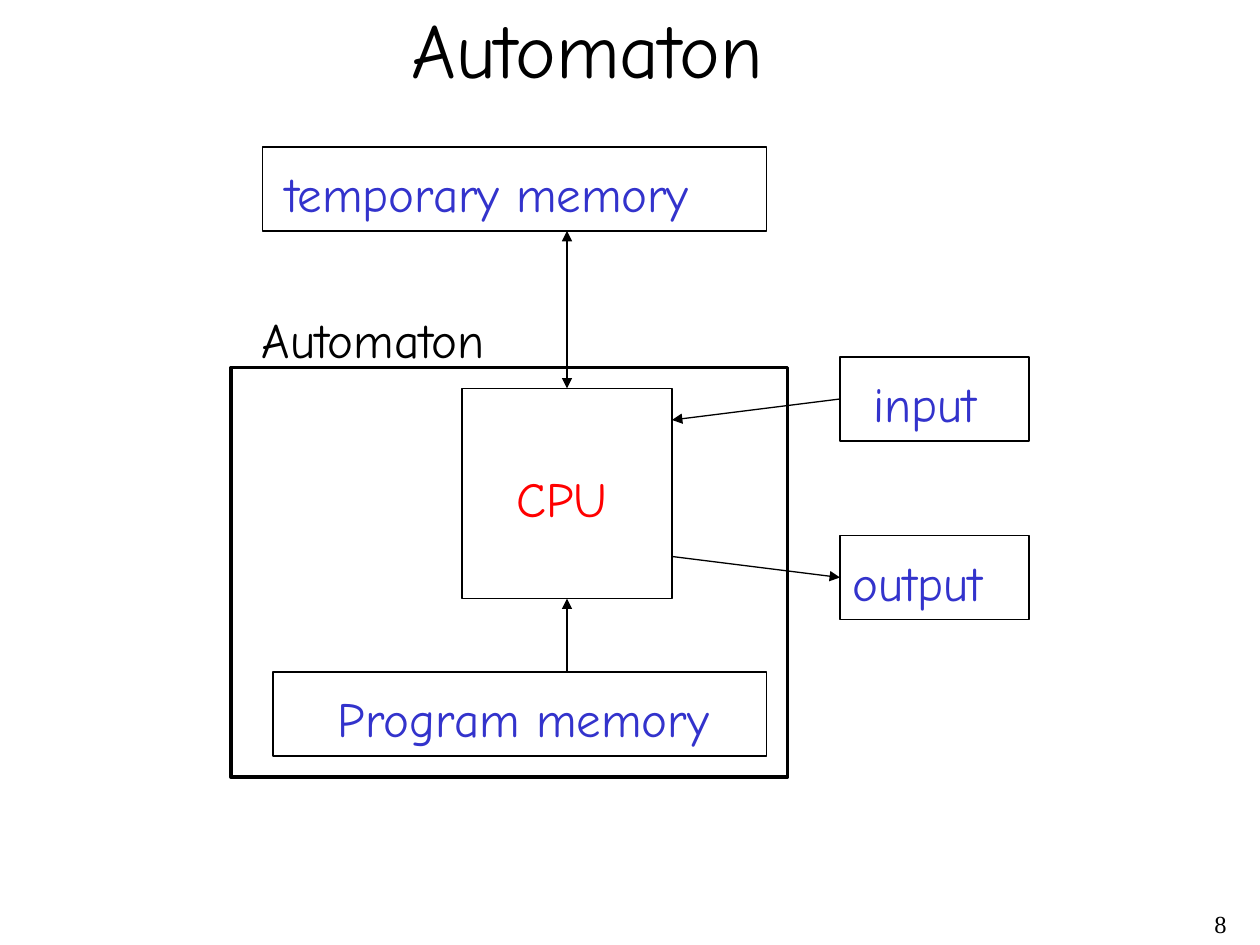
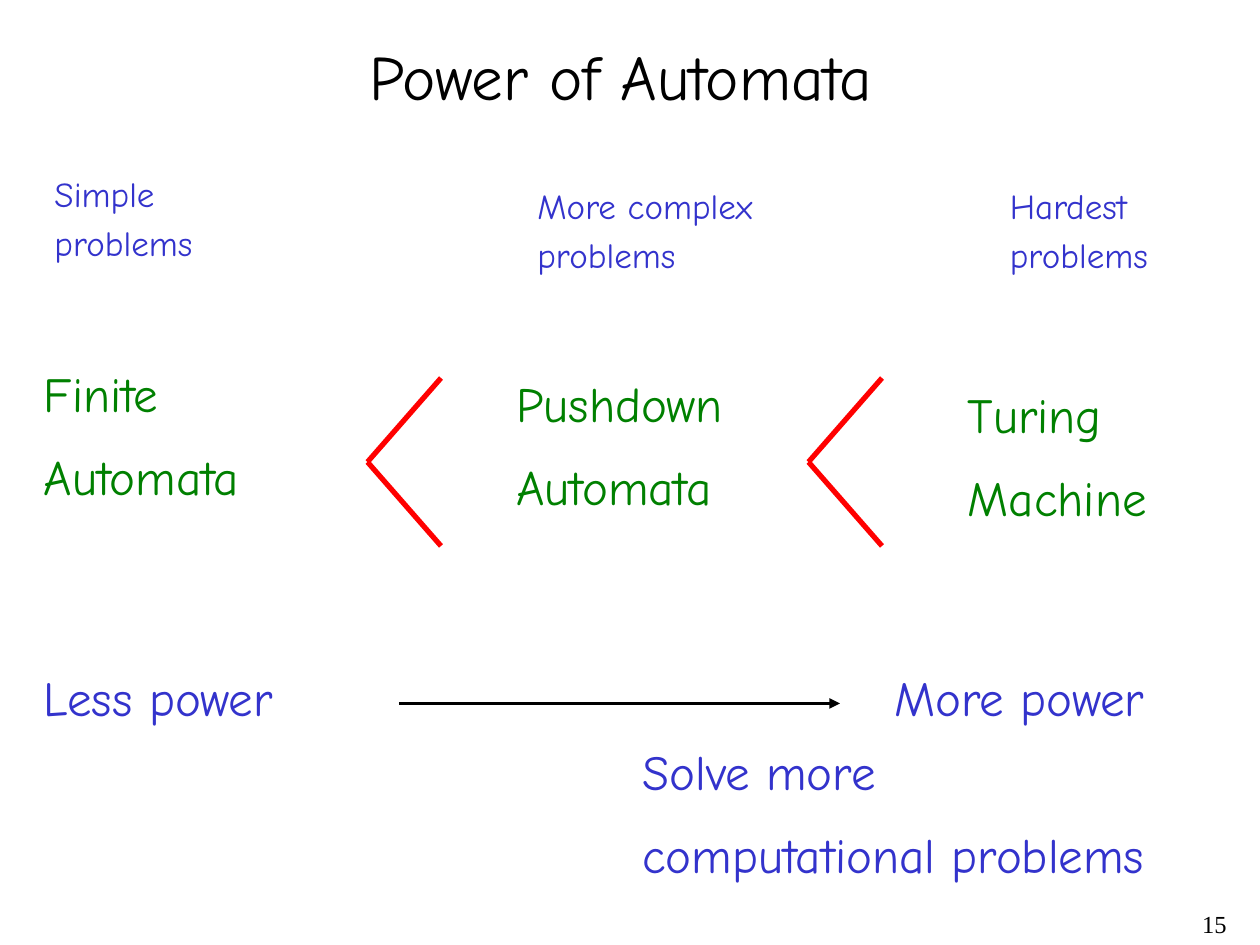
import lxml.etree
import pptx
import pptx.dml.color
import pptx.enum.shapes
import pptx.enum.text
import pptx.oxml.ns
import pptx.util

Pt = pptx.util.Pt
HAND, SERIF = "Comic Neue", "Times New Roman"
BLACK, BLUE, GREEN, RED = "000000", "3333CC", "008000", "FF0000"
LEFT, RIGHT = pptx.enum.text.PP_ALIGN.LEFT, pptx.enum.text.PP_ALIGN.RIGHT
FIT = pptx.enum.text.MSO_AUTO_SIZE.SHAPE_TO_FIT_TEXT
FIXED = pptx.enum.text.MSO_AUTO_SIZE.NONE
TOP_SIDE, LEFT_SIDE, BOTTOM_SIDE = 0, 1, 2


def rgb(code):
    """Turn a hex string into a colour."""
    return pptx.dml.color.RGBColor.from_string(code)


def write(frame, lines, size, color, font=HAND, align=LEFT, gap=0.5, wrap=False):
    """Fill a text frame, one paragraph per line, spaced by a share of the size."""
    frame.word_wrap = wrap
    frame.auto_size = FIXED if wrap else FIT
    frame.vertical_anchor = pptx.enum.text.MSO_ANCHOR.TOP
    frame.margin_left = frame.margin_right = Pt(7.2)
    frame.margin_top = frame.margin_bottom = Pt(3.6)
    for index, line in enumerate(lines):
        paragraph = frame.add_paragraph() if index else frame.paragraphs[0]
        paragraph.alignment = align
        paragraph.space_before = Pt(size * gap if index else 0)
        run = paragraph.add_run()
        run.text = line
        run.font.name = font
        run.font.size = Pt(size)
        run.font.color.rgb = rgb(color)


def add_label(slide, box, lines, color=BLUE, size=28, **style):
    """Place lines of text in a box given as left, top, width, height."""
    label = slide.shapes.add_textbox(*map(Pt, box))
    write(label.text_frame, lines, size, color, **style)


def add_box(slide, left, top, width, height, weight=0.75):
    """Draw an unfilled black rectangle."""
    box = slide.shapes.add_shape(
        pptx.enum.shapes.MSO_SHAPE.RECTANGLE, Pt(left), Pt(top), Pt(width), Pt(height))
    box.shadow.inherit = False
    box.fill.background()
    box.line.color.rgb = rgb(BLACK)
    box.line.width = Pt(weight)
    return box


def add_line(slide, start, end, color=BLACK, weight=0.75, arrows=()):
    """Draw a straight line with triangles at the named ends."""
    line = slide.shapes.add_connector(
        pptx.enum.shapes.MSO_CONNECTOR.STRAIGHT, *map(Pt, (*start, *end)))
    line.line.color.rgb = rgb(color)
    line.line.width = Pt(weight)
    properties = line.element.spPr
    outline = properties.find(pptx.oxml.ns.qn("a:ln"))
    for arrow in arrows:
        lxml.etree.SubElement(outline, pptx.oxml.ns.qn(f"a:{arrow}"), type="triangle")
    lxml.etree.SubElement(properties, pptx.oxml.ns.qn("a:effectLst"))
    return line


def start_slide(deck, title, box, size, number):
    """Add a slide with its title and page number."""
    slide = deck.slides.add_slide(deck.slide_layouts[5])
    heading = slide.shapes.title
    heading.left, heading.top, heading.width, heading.height = map(Pt, box)
    write(heading.text_frame, [title], size, BLACK)
    add_label(slide, (558, 516, 150, 24), [number], BLACK, 14,
              font=SERIF, align=RIGHT, wrap=True)
    return slide


def add_unit(slide, box, name, indent, drop, width, color=BLUE):
    """Draw a named part of the machine, its name offset from the corner."""
    unit = add_box(slide, *box)
    add_label(slide, (box[0] + indent, box[1] + drop, width, 41), [name], color)
    return unit


def draw_machine(slide, left, top):
    """Draw the automaton frame, its units and the links between them."""
    cpu = add_unit(slide, (left + 132, top + 12, 120, 120), "CPU", 24, 42, 67, RED)
    add_unit(slide, (left + 18, top - 126, 288, 48), "temporary memory", 6, 6, 260.6)
    source = add_unit(slide, (left + 348, top - 6, 108, 48), "input", 12, 6, 80)
    sink = add_unit(slide, (left + 348, top + 96, 108, 48), "output", 0, 6, 100)
    add_unit(slide, (left + 24, top + 174, 282, 48), "Program memory", 30, 6, 232)

    axis, cpu_right, port = left + 192, left + 252, left + 348
    memory_link = add_line(slide, (axis, top - 78), (axis, top + 12),
                           arrows=("headEnd", "tailEnd"))
    memory_link.end_connect(cpu, TOP_SIDE)
    input_link = add_line(slide, (port, top + 18), (cpu_right, top + 30),
                          arrows=("tailEnd",))
    input_link.begin_connect(source, LEFT_SIDE)
    output_link = add_line(slide, (cpu_right, top + 108), (port, top + 120),
                           arrows=("tailEnd",))
    output_link.end_connect(sink, LEFT_SIDE)
    program_link = add_line(slide, (axis, top + 174), (axis, top + 132),
                            arrows=("tailEnd",))
    program_link.end_connect(cpu, BOTTOM_SIDE)

    add_box(slide, left, top, 318, 234, 2)
    add_label(slide, (left + 10.5, top - 36.5, 156, 41), ["Automaton"], BLACK)


def draw_less_than(slide, left, top, width, height):
    """Draw a red less-than sign that fills the given box."""
    tip = (left, top + height / 2)
    for end in (top, top + height):
        add_line(slide, tip, (left + width, end), RED, 3)


def draw_classes(slide, left, top):
    """Set out the automata classes with their problems and signs between."""
    classes = [
        (["Simple", "problems"], (6, 0, 99), ["Finite", "Automata"], (0, 109, 141)),
        (["More complex", "problems"], (282, 7, 145),
         ["Pushdown", "Automata"], (270, 115, 141)),
        (["Hardest", "problems"], (552, 7, 99),
         ["Turing", "Machine"], (528, 121, 122)),
    ]
    for problems, problem_place, machine, machine_place in classes:
        for lines, (dx, dy, width), height, style in (
                (problems, problem_place, 60, {"size": 20, "gap": 0.2}),
                (machine, machine_place, 91.5, {"color": GREEN})):
            add_label(slide, (left + dx, top + dy, width, height), lines, **style)
    for gap in range(2):
        draw_less_than(slide, left + 192 + 252 * gap, top + 121, 42, 96)


def draw_power_scale(slide, left, top):
    """Draw the arrow from less to more power and what it means."""
    add_label(slide, (left, top, 158.4, 41), ["Less power"])
    add_label(slide, (left + 486, top, 169, 41), ["More power"])
    add_line(slide, (left + 210, top + 24), (left + 462, top + 24),
             weight=2, arrows=("tailEnd",))
    add_label(slide, (left + 342, top + 42, 322, 91.5),
              ["Solve more", "computational problems"])


def main():
    """Build and save both slides."""
    deck = pptx.Presentation()
    deck.slide_width, deck.slide_height = Pt(720), Pt(540)
    automaton = start_slide(deck, "Automaton", (228, -3, 237, 60), 44, "8")
    draw_machine(automaton, 132, 210)
    power = start_slide(deck, "Power of Automata", (204, 18, 335, 50.5), 36, "15")
    draw_classes(power, 18, 95)
    draw_power_scale(power, 18, 378)
    deck.save("out.pptx")


if __name__ == "__main__":
    main()
